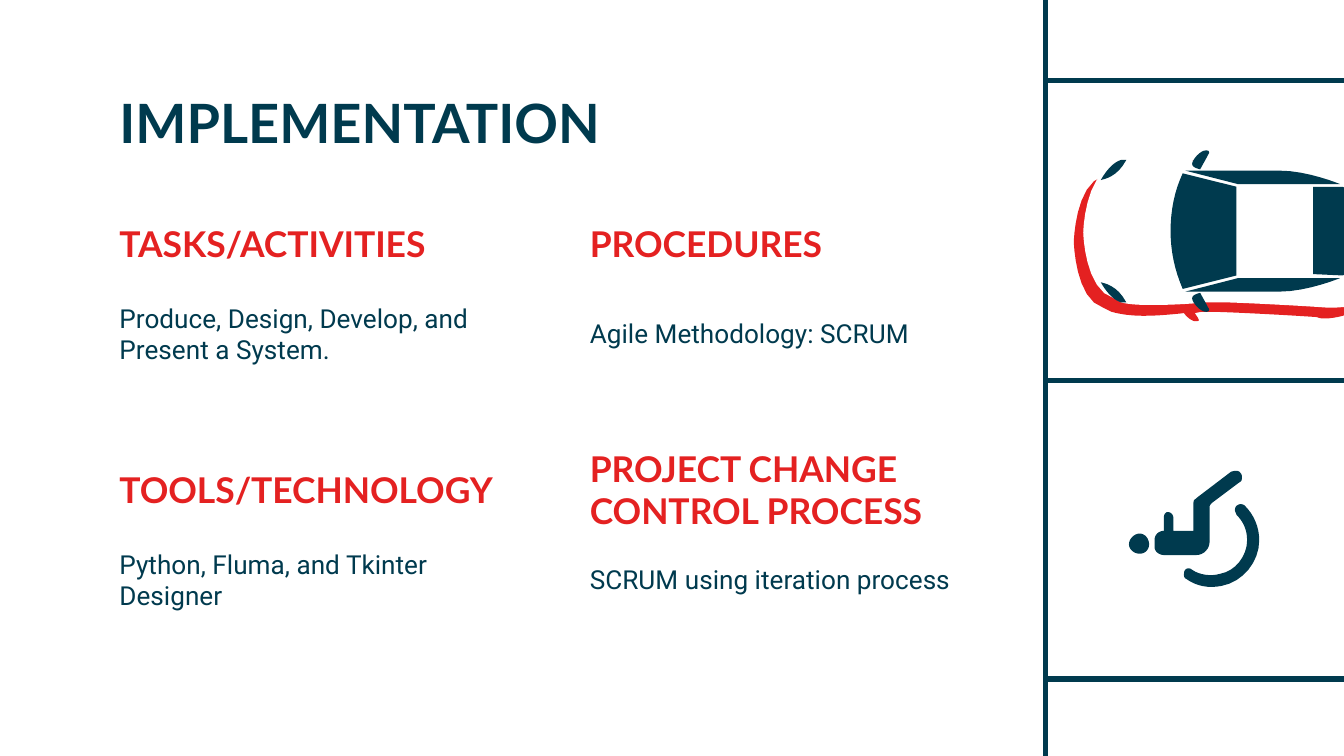
from pptx import Presentation
from pptx.dml.color import RGBColor as RGB
from pptx.enum.shapes import MSO_CONNECTOR as Conn
from pptx.enum.text import MSO_ANCHOR as Anchor
from pptx.oxml.ns import qn
from pptx.util import Inches, Pt
from lxml import etree

NAVY = RGB(0x00, 0x3A, 0x4E)
RED = RGB(0xE4, 0x21, 0x21)
WHITE = RGB(0xFF, 0xFF, 0xFF)
WIDE = 10
HIGH = WIDE * 9 / 16
AXIS = 1.72  # the car is symmetric about this height
STEPS = 8    # line segments per curve

# Outlines in inches: M move, L line, C cubic curve
TRIM = """M 8.9 2.39 C 8.93 2.39 8.92 2.38 8.91 2.36 L 8.89 2.33 L 8.94 2.32
C 8.96 2.32 8.99 2.32 9 2.32 C 9.12 2.32 9.68 2.35 9.8 2.36
C 9.82 2.37 9.84 2.37 9.86 2.37 C 9.94 2.37 10.04 2.34 10.13 2.3
C 10.25 2.24 10.36 2.13 10.36 1.94 L 10.36 1.65
C 10.36 1.45 10.23 1.34 10.09 1.29 C 10.01 1.25 9.93 1.23 9.86 1.23
C 9.84 1.23 9.82 1.24 9.8 1.24 C 9.68 1.25 9.12 1.28 9 1.28 L 8.88 1.27
C 8.89 1.25 8.91 1.23 8.91 1.22 C 8.92 1.21 8.93 1.19 8.9 1.19
C 8.86 1.19 8.81 1.24 8.8 1.27 C 8.71 1.26 8.61 1.26 8.51 1.26
C 8.44 1.26 8.37 1.26 8.3 1.27 L 8.25 1.29 L 8.21 1.31
C 8 1.37 7.99 1.8 7.99 1.8 C 7.99 1.8 8 2.23 8.21 2.29 L 8.27 2.32
C 8.34 2.34 8.42 2.35 8.51 2.35 C 8.61 2.35 8.72 2.34 8.81 2.33
C 8.83 2.36 8.87 2.39 8.89 2.39"""
BODY = """M 9.8 2.26 C 9.98 2.26 10.24 2.15 10.24 1.87 L 10.24 1.58
C 10.24 1.3 9.99 1.19 9.8 1.19 C 9.78 1.19 9.77 1.19 9.75 1.19
C 9.63 1.2 9.1 1.23 8.99 1.23 L 8.89 1.23 C 8.8 1.22 8.65 1.21 8.52 1.21
C 8.43 1.21 8.35 1.21 8.29 1.23 C 8.07 1.3 8.06 1.73 8.06 1.73
C 8.06 1.73 8.07 2.16 8.29 2.22 C 8.36 2.24 8.44 2.25 8.52 2.25
C 8.66 2.25 8.8 2.23 8.89 2.22 L 8.99 2.22 C 9.1 2.22 9.63 2.25 9.75 2.26"""
HULL = """M 9.93 2.29 C 10.13 2.29 10.4 2.18 10.4 1.88 L 10.4 1.58
C 10.4 1.28 10.13 1.16 9.93 1.16 C 9.91 1.16 9.9 1.16 9.88 1.16
C 9.75 1.18 9.2 1.2 9.08 1.2 L 8.98 1.2 C 8.88 1.2 8.73 1.18 8.59 1.18
C 8.5 1.18 8.42 1.19 8.34 1.21 C 8.12 1.27 8.1 1.73 8.1 1.73
C 8.1 1.73 8.12 2.18 8.34 2.25 C 8.41 2.27 8.5 2.27 8.59 2.27
C 8.73 2.27 8.88 2.26 8.98 2.25 L 9.08 2.25 C 9.2 2.25 9.76 2.28 9.88 2.29"""
MIRROR = """M 8.98 2.32 C 9 2.32 9 2.3 8.99 2.29 C 8.98 2.27 8.93 2.18 8.93 2.18
C 8.93 2.18 8.87 2.19 8.87 2.22 C 8.87 2.25 8.93 2.32 8.97 2.32"""
LAMP = """M 8.38 2.25 C 8.31 2.12 8.22 2.11 8.19 2.1
C 8.23 2.17 8.28 2.23 8.34 2.25 L 8.38 2.25"""
SIDE = "M 9.52 2.17 C 9.73 2.17 9.97 2.07 9.97 2.07 L 9.21 2.07 L 8.82 2.17"
FRONT = """M 8.8 2.15 L 9.2 2.05 L 9.2 1.39 L 8.8 1.29
C 8.74 1.42 8.71 1.56 8.71 1.72 C 8.71 1.87 8.74 2.01 8.8 2.15"""
REAR = "M 9.99 2.05 L 10.27 1.93 L 10.27 1.51 L 9.99 1.39 L 9.77 1.39 L 9.77 2.04"
TORSO = """M 9.24 3.55 C 9.24 3.54 9.24 3.53 9.23 3.52 C 9.22 3.5 9.19 3.5 9.16 3.51
L 8.91 3.7 L 8.9 3.71 C 8.88 3.72 8.88 3.73 8.88 3.75 L 8.88 3.95
L 8.73 3.95 L 8.73 3.85 C 8.73 3.83 8.71 3.81 8.69 3.81
C 8.67 3.81 8.66 3.83 8.66 3.85 L 8.66 3.95 C 8.62 3.95 8.59 3.98 8.59 4.02
L 8.59 4.07 C 8.59 4.1 8.62 4.13 8.66 4.13 L 8.9 4.13
C 8.96 4.13 9 4.08 9 4.03 L 9 3.77 C 9 3.76 9.01 3.75 9.02 3.74
L 9.22 3.59 C 9.24 3.58 9.24 3.57 9.24 3.55"""
HEAD = """M 8.55 4.05 C 8.55 4.01 8.52 3.97 8.48 3.97 C 8.44 3.97 8.4 4.01 8.4 4.05
C 8.4 4.09 8.44 4.12 8.48 4.12 C 8.52 4.12 8.55 4.09 8.55 4.05"""
WHEEL = """M 9.37 4.02 C 9.37 3.92 9.33 3.83 9.26 3.76 C 9.23 3.74 9.19 3.76 9.19 3.79
L 9.19 3.8 C 9.19 3.81 9.2 3.82 9.2 3.83 C 9.25 3.88 9.28 3.94 9.28 4.02
C 9.28 4.14 9.19 4.25 9.08 4.27 C 9.01 4.29 8.93 4.28 8.87 4.24
C 8.86 4.23 8.85 4.23 8.84 4.23 C 8.82 4.23 8.81 4.25 8.81 4.27
C 8.81 4.29 8.81 4.3 8.83 4.31 C 8.9 4.36 8.99 4.38 9.09 4.36
C 9.25 4.33 9.37 4.18 9.37 4.02"""


def trace(text):
    """Turn an outline into points, with curves cut into short lines."""
    marks = iter(text.split())
    dots = []
    for mark in marks:
        nums = [float(next(marks)) for _ in range(6 if mark == "C" else 2)]
        pairs = list(zip(nums[::2], nums[1::2]))
        if mark == "C":
            a, b, c, d = [dots[-1], *pairs]
            for i in range(1, STEPS + 1):
                t = i / STEPS
                u = 1 - t
                dots.append(tuple(
                    u**3 * p + 3 * u * u * t * q + 3 * u * t * t * r + t**3 * s
                    for p, q, r, s in zip(a, b, c, d)))
        else:
            dots += pairs
    return dots


class Deck:
    """Holds the style and the current slide."""
    title = ("Lato", 29, NAVY, True)
    topic = ("Lato", 19, RED, True)
    plain = ("Roboto", 14, NAVY, False)

    def __init__(self, slide):
        self.shapes = slide.shapes

    def text(self, words, x, y, w, h, style):
        frame = self.shapes.add_textbox(*map(Inches, (x, y, w, h))).text_frame
        frame.word_wrap = True
        frame.vertical_anchor = Anchor.MIDDLE
        frame.margin_left = frame.margin_right = Inches(0.1)
        frame.margin_top = frame.margin_bottom = Inches(0.1)
        run = frame.paragraphs[0].add_run()
        run.text = words
        font = run.font
        font.name, size, font.color.rgb, font.bold = style
        font.size = Pt(size)

    def line(self, *ends):
        rule = self.shapes.add_connector(Conn.STRAIGHT, *map(Inches, ends))
        rule.line.color.rgb = NAVY
        rule.line.width = Pt(3)
        etree.SubElement(rule._element.spPr, qn("a:effectLst"))

    def form(self, outline, color, dx=0, flip=False):
        dots = [(Inches(x + dx), Inches(2 * AXIS - y if flip else y))
                for x, y in trace(outline)]
        pen = self.shapes.build_freeform(*dots[0])
        pen.add_line_segments(dots[1:], close=True)
        shape = pen.convert_to_shape()
        shape.shadow.inherit = False
        shape.fill.solid()
        shape.fill.fore_color.rgb = color
        shape.line.fill.background()


def main():
    show = Presentation()
    show.slide_width, show.slide_height = Inches(WIDE), Inches(HIGH)
    deck = Deck(show.slides.add_slide(show.slide_layouts[6]))

    # Title and the two-by-two grid of topics
    deck.text("IMPLEMENTATION", 0.79, 0.59, 8.43, 0.63, deck.title)
    topics = [
        ("TASKS/ACTIVITIES", "Produce, Design, Develop, and Present a System."),
        ("PROCEDURES", "Agile Methodology: SCRUM"),
        ("TOOLS/TECHNOLOGY", "Python, Fluma, and Tkinter Designer"),
        ("PROJECT CHANGE CONTROL PROCESS", "SCRUM using iteration process"),
    ]
    for i, (head, body) in enumerate(topics):
        x, y = 0.79 + i % 2 * 3.5, 1.55 + i // 2 * 1.83
        deck.text(head, x, y, 3.01, 0.52, deck.topic)
        deck.text(body, x, y + 0.52, 3.01, 0.82, deck.plain)

    # Parking bays
    deck.line(7.78, HIGH, 7.78, 0)
    for y in (2.83, 5.05, 0.6):
        deck.line(WIDE, y, 7.77, y)

    # Car
    deck.form(TRIM, RED)
    for dx in (0, 0.2):
        deck.form(BODY, WHITE, dx)
    deck.form(HULL, WHITE)
    for part in (MIRROR, LAMP, SIDE):
        for flip in (False, True):
            deck.form(part, NAVY, flip=flip)
    for part in (FRONT, REAR):
        deck.form(part, NAVY)

    # Wheelchair sign
    for part in (TORSO, HEAD, WHEEL):
        deck.form(part, NAVY)

    show.save("out.pptx")


if __name__ == "__main__":
    main()
